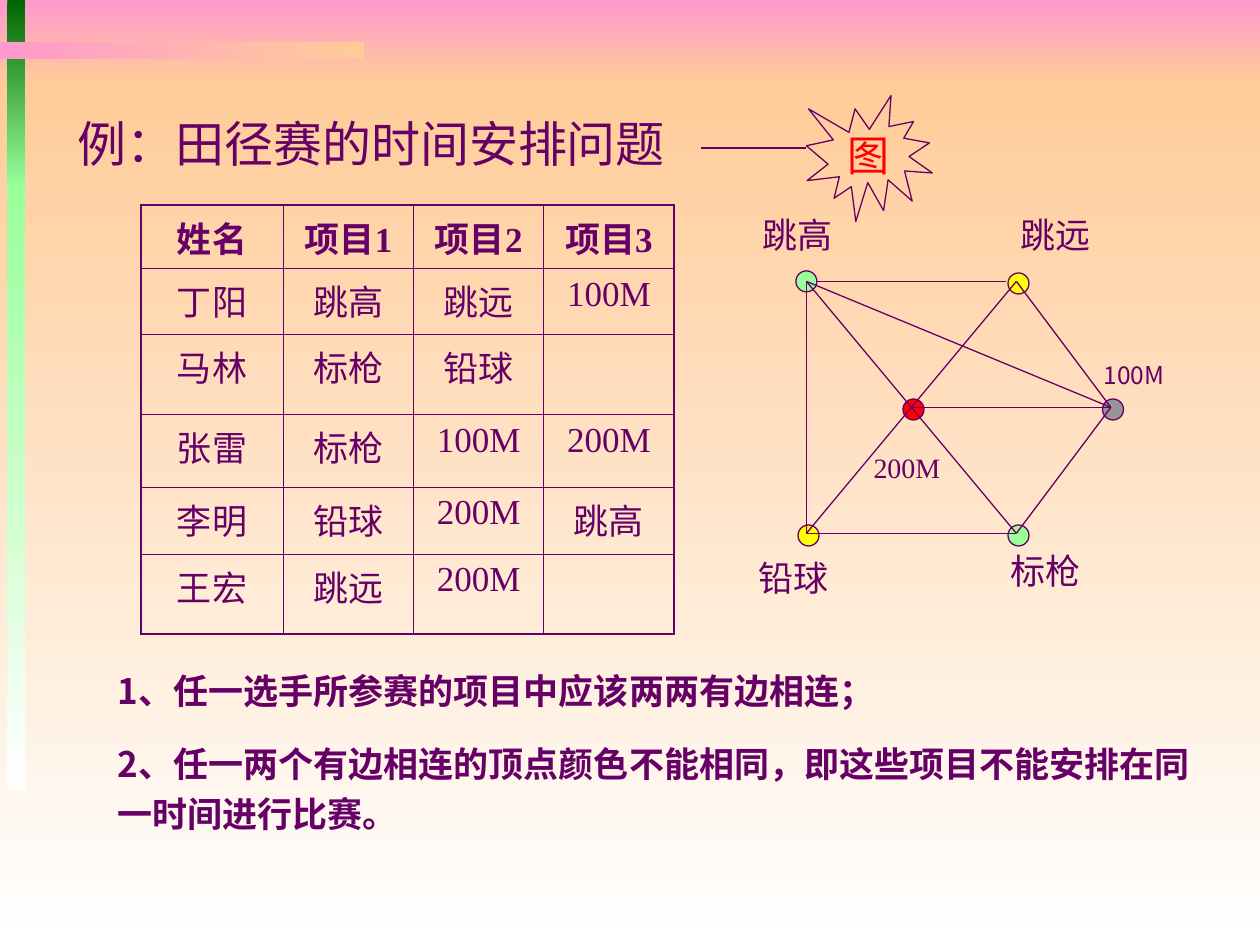
from lxml import etree
from pptx import Presentation
from pptx.dml.color import RGBColor
from pptx.enum.shapes import MSO_CONNECTOR, MSO_SHAPE
from pptx.enum.text import MSO_ANCHOR, MSO_AUTO_SIZE, PP_ALIGN
from pptx.oxml import parse_xml
from pptx.oxml.ns import qn
from pptx.util import Inches, Pt

RECT, OVAL, BURST = MSO_SHAPE.RECTANGLE, MSO_SHAPE.OVAL, MSO_SHAPE.EXPLOSION1
LINE = MSO_CONNECTOR.STRAIGHT
LEFT, CENTER, MIDDLE = PP_ALIGN.LEFT, PP_ALIGN.CENTER, MSO_ANCHOR.MIDDLE
GROW = MSO_AUTO_SIZE.SHAPE_TO_FIT_TEXT
SANS, JAPAN, TIMES = "Noto Sans CJK SC", "Noto Sans CJK JP", "Times New Roman"
HEX = {"plum": "660066", "pink": "FF99CC", "peach": "FFCC99", "white": "FFFFFF",
       "forest": "006600", "mint": "99FF99", "yellow": "FFFF00", "red": "FF0000",
       "gray": "969696"}
RGB = {name: RGBColor.from_string(code) for name, code in HEX.items()}
XMLNS = "http://schemas.openxmlformats.org/drawingml/2006/main"

deck = Presentation()
deck.slide_width, deck.slide_height = Inches(10), Inches(7.5)
slide = deck.slides.add_slide(deck.slide_layouts[6])
shapes = slide.shapes
# The slide is a grid of 120 columns and 90 rows of square units
UNIT = deck.slide_width / 120


def place(*spots):
    return [round(spot * UNIT) for spot in spots]


def write(frame, text, size=20, font=SANS, color="plum", bold=False,
          align=LEFT, space=None, before=0):
    for i, words in enumerate(text.split("\n")):
        para = frame.add_paragraph() if i else frame.paragraphs[0]
        para.alignment, para.space_before = align, Pt(before)
        if space:
            para.line_spacing = space
        run = para.add_run()
        run.text = words
        run.font.size, run.font.bold, run.font.name = Pt(size), bold, font
        run.font.color.rgb = RGB[color]
        east = etree.SubElement(run.font._element, qn("a:ea"))
        east.set("typeface", SANS if font == TIMES else font)


# Backdrop and corner bars
for x, y, w, h, start, end, angle in [
        (0, 0, 120, 8, "pink", "peach", 270),
        (0, 8, 120, 82, "peach", "white", 270),
        (0.7, 0, 1.7, 17.7, "forest", "mint", 270),
        (0.7, 17.5, 1.7, 57.7, "mint", "white", 270),
        (0, 4, 34.7, 1.65, "pink", "peach", 0)]:
    bar = shapes.add_shape(RECT, *place(x, y, w, h))
    bar.shadow.inherit = False
    bar.line.fill.background()
    bar.fill.gradient()
    bar.fill.gradient_angle = angle
    for stop, tint in zip(bar.fill.gradient_stops, (start, end)):
        stop.color.rgb = RGB[tint]

# Table of athletes and events
ROWS = [["姓名", "项目1", "项目2", "项目3"],
        ["丁阳", "跳高", "跳远", "100M"],
        ["马林", "标枪", "铅球", ""],
        ["张雷", "标枪", "100M", "200M"],
        ["李明", "铅球", "200M", "跳高"],
        ["王宏", "跳远", "200M", ""]]
WIDTHS = [13.6, 12.4, 12.4, 12.4]
HEIGHTS = [5.5, 6.3, 7.6, 6.9, 6.4, 7.6]
down, across = len(ROWS), len(WIDTHS)
table = shapes.add_table(down, across, *place(13.4, 19.55, sum(WIDTHS), sum(HEIGHTS))).table
table.first_row = table.horz_banding = False
for col, width in zip(table.columns, place(*WIDTHS)):
    col.width = width
for row, height in zip(table.rows, place(*HEIGHTS)):
    row.height = height
for r, row in enumerate(ROWS):
    for c, text in enumerate(row):
        cell = table.cell(r, c)
        cell.margin_left, cell.margin_right, cell.margin_top, cell.margin_bottom = place(
            1.4, 1.4, 0.6, 0.6)
        if text:
            write(cell.text_frame, text, font=TIMES, bold=r == 0, align=CENTER, before=5)
        cell.fill.background()
        # Outer edges are heavier than inner ones
        outer = {"L": c == 0, "R": c == across - 1, "T": r == 0, "B": r == down - 1}
        for i, (side, edge) in enumerate(outer.items()):
            cell._tc.get_or_add_tcPr().insert(i, parse_xml(
                f'<a:ln{side} xmlns:a="{XMLNS}" w="{Pt(1.08 if edge else 0.45)}"><a:solidFill>'
                f'<a:srgbClr val="{HEX["plum"]}"/></a:solidFill></a:ln{side}>'))

# Graph nodes, each two units wide
NODES = {"远": (96, 26, "yellow"), "200": (86, 38, "red"), "球": (76, 50, "yellow"),
         "枪": (96, 50, "mint"), "100": (105, 38, "gray"), "高": (75.8, 25.8, "mint")}
for x, y, tint in NODES.values():
    dot = shapes.add_shape(OVAL, *place(x, y, 2, 2))
    dot.shadow.inherit = False
    dot.fill.solid()
    dot.fill.fore_color.rgb = RGB[tint]
    dot.line.color.rgb, dot.line.width = RGB["plum"], Pt(0.75)

# Title, node labels and rules
NOTES = ("1、任一选手所参赛的项目中应该两两有边相连；\n"
         "2、任一两个有边相连的顶点颜色不能相同，即这些项目不能安排在同一时间进行比赛。")
for x, y, w, h, text, wrap, style in [
        (6, 9, 98, 8.2, "例：田径赛的时间安排问题", True, {"size": 28, "before": 17.5}),
        (71.2, 18.8, 9.6, 6.2, "跳高", False, {"font": JAPAN}),
        (95.8, 18.8, 9.6, 6.2, "跳远", False, {"font": JAPAN}),
        (94.8, 50.8, 9.6, 6.2, "标枪", False, {"font": JAPAN}),
        (70.8, 51.5, 9.6, 6.2, "铅球", False, {"font": JAPAN}),
        (81.8, 41.6, 9.4, 5.3, "200M", False, {"size": 16, "font": TIMES}),
        (103.7, 33, 9.1, 4.8, "100M", False, {"size": 14, "font": JAPAN}),
        (9.8, 62.3, 106.7, 18, NOTES, True, {"bold": True, "before": 12.5})]:
    frame = shapes.add_textbox(*place(x, y, w, h)).text_frame
    frame.word_wrap, frame.auto_size = wrap, GROW
    frame.margin_left, frame.margin_right, frame.margin_top, frame.margin_bottom = place(
        1.4, 1.4, 0.7, 0.7)
    write(frame, text, space=1.2, **style)

# Edges join node centres; the top edge and the burst's tail stand alone
HUBS = {"远": (96.8, 26.8), "200": (86.8, 38.8), "球": (76.8, 50.8),
        "枪": (96.8, 50.8), "100": (105.8, 38.8), "高": (76.8, 26.8)}
PAIRS = [("200", "球"), ("高", "200"), ("200", "枪"), ("200", "100"), ("球", "枪"),
         ("200", "远"), ("远", "100"), ("100", "枪"), ("高", "球"), ("高", "100")]
edges = [HUBS[a] + HUBS[b] for a, b in PAIRS]
edges += [(77.8, 26.8, 95.8, 26.8), (66.8, 14.1, 76.8, 14.1)]
for ends in edges:
    edge = shapes.add_connector(LINE, *place(*ends))
    edge.line.color.rgb, edge.line.width = RGB["plum"], Pt(0.75)
    etree.SubElement(edge._element.spPr, qn("a:effectLst"))

# Burst that names the graph
burst = shapes.add_shape(BURST, *place(76.8, 9.1, 12, 12))
burst.shadow.inherit = False
burst.fill.background()
burst.line.color.rgb, burst.line.width = RGB["plum"], Pt(0.75)
burst.text_frame.word_wrap, burst.text_frame.vertical_anchor = False, MIDDLE
write(burst.text_frame, "图", size=24, font=TIMES, color="red", align=CENTER)

deck.save("out.pptx")
